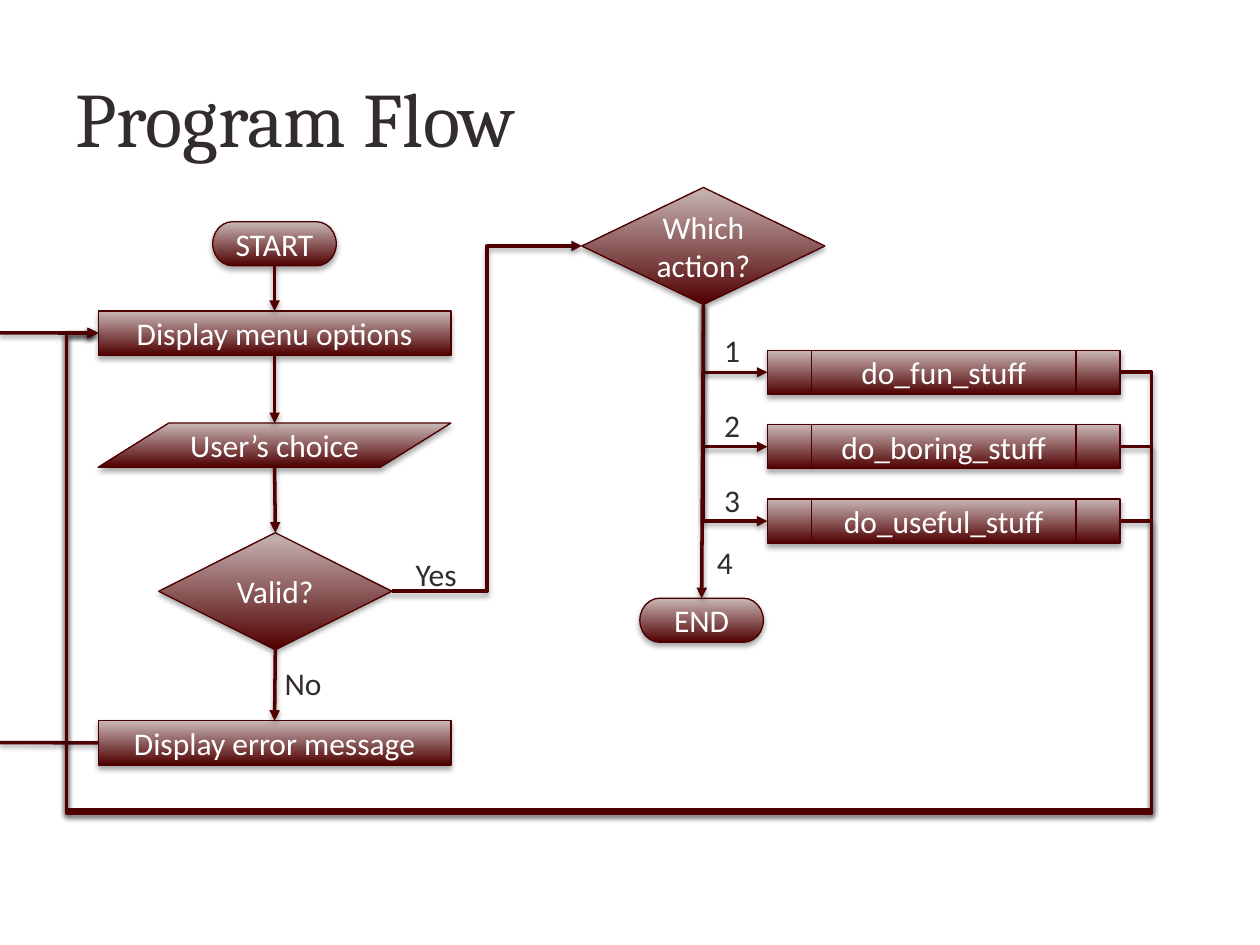
from lxml import etree
from pptx import Presentation
from pptx import util as u
from pptx.dml.color import RGBColor
from pptx.enum import shapes, text
from pptx.oxml import parse_xml
from pptx.oxml.ns import nsdecls, qn

MAROON = RGBColor(0x50, 0x00, 0x00)
ROSE = RGBColor(0xC9, 0xB6, 0xB6)
EDGE = RGBColor(0x4E, 0x00, 0x00)
INK = RGBColor(0x33, 0x2C, 0x2C)
WHITE = RGBColor(0xFF, 0xFF, 0xFF)

TOP, LEFT, BOTTOM, RIGHT = range(4)
BAR_W, BAR_H = 7.11, 0.89
KIND = shapes.MSO_SHAPE
LINK = shapes.MSO_CONNECTOR


class Flow:
    """Style of the flow chart and the slide it is drawn on."""

    title_font = {"name": "Cambria", "size": u.Pt(44)}
    body_font = {"name": "Calibri", "size": u.Pt(18)}

    def __init__(self, slide):
        self.s = slide

    def put_text(self, sp, words, font, color, align, frame):
        tf = sp.text_frame
        for key, value in frame.items():
            setattr(tf, key, value)
        p = tf.paragraphs[0]
        p.alignment = align
        r = p.add_run()
        r.text = words
        for key, value in font.items():
            setattr(r.font, key, value)
        r.font.color.rgb = color

    def shadow(self, sp, dist, alpha):
        sp._element.spPr.append(parse_xml(
            f'<a:effectLst {nsdecls("a")}><a:outerShdw blurRad="{u.Pt(3.1)}" '
            f'dist="{u.Pt(dist)}" dir="5400000" rotWithShape="0">'
            f'<a:srgbClr val="000000"><a:alpha val="{alpha}000"/></a:srgbClr>'
            '</a:outerShdw></a:effectLst>'))

    def title(self, words, *box):
        sp = self.s.shapes.title
        sp.left, sp.top, sp.width, sp.height = map(u.Cm, box)
        self.put_text(sp, words, self.title_font, INK, text.PP_ALIGN.LEFT,
                      {"vertical_anchor": text.MSO_ANCHOR.MIDDLE})

    def step(self, kind, words, x, y, w=BAR_W, h=BAR_H):
        sp = self.s.shapes.add_shape(kind, *map(u.Cm, (x, y, w, h)))
        sp.fill.gradient()
        sp.fill.gradient_angle = 90
        for stop, color in zip(sp.fill.gradient_stops, (MAROON, ROSE)):
            stop.color.rgb = color
        sp.line.color.rgb = EDGE
        sp.line.width = u.Pt(0.75)
        self.shadow(sp, 1.8, 35)
        self.put_text(sp, words, self.body_font, WHITE, text.PP_ALIGN.CENTER,
                      {"vertical_anchor": text.MSO_ANCHOR.MIDDLE, "word_wrap": True})
        return sp

    def label(self, words, x, y, w=0.84):
        sp = self.s.shapes.add_textbox(*map(u.Cm, (x, y, w, 1.02)))
        self.put_text(sp, words, self.body_font, INK, text.PP_ALIGN.LEFT,
                      {"word_wrap": False})

    def link(self, start, end, kind=LINK.STRAIGHT, arrow=True):
        """Join two ends, each a (shape, side) pair or an (x, y) point in cm."""
        points = [(0, 0) if hasattr(a, "shape_id") else (u.Cm(a), u.Cm(b))
                  for a, b in (start, end)]
        c = self.s.shapes.add_connector(kind, *points[0], *points[1])
        for join, (a, b) in ((c.begin_connect, start), (c.end_connect, end)):
            if hasattr(a, "shape_id"):
                join(a, b)
        c.line.color.rgb = MAROON
        c.line.width = u.Pt(2)
        if arrow:
            etree.SubElement(c.line._get_or_add_ln(), qn("a:tailEnd"), type="triangle")
        self.shadow(c, 1.6, 38)
        return c

    def branch(self, start, end):
        """Down from the start, then right into the end."""
        c = self.link(start, end, LINK.ELBOW)
        w, h = c.width, c.height
        mid_x, mid_y = c.left + w // 2, c.top + h // 2
        c.left, c.top, c.width, c.height = mid_x - h // 2, mid_y - w // 2, h, w
        c._element.spPr.find(qn("a:xfrm")).set("rot", "16200000")
        c._element.spPr.find(qn("a:xfrm")).set("flipH", "1")
        c._element.spPr.find(qn("a:prstGeom")).set("prst", "bentConnector2")

    def loop(self, start, end, margin, floor):
        """Out to the right, under everything, and back in from the left."""
        c = self.link(start, end, LINK.ELBOW)
        side = u.Cm(margin) / c.width
        drop = (u.Cm(floor) - c.begin_y) / c.height
        geom = c._element.spPr.find(qn("a:prstGeom"))
        geom.set("prst", "bentConnector5")
        guides = geom.find(qn("a:avLst"))
        for i, ratio in enumerate((-side, -drop, 1 + side), 1):
            etree.SubElement(guides, qn("a:gd"), name=f"adj{i}",
                             fmla=f"val {round(ratio * 100000)}")


def main():
    prs = Presentation()
    prs.slide_width, prs.slide_height = u.Cm(25.4), u.Cm(19.05)
    flow = Flow(prs.slides.add_slide(prs.slide_layouts[5]))
    flow.title("Program Flow", 1.27, 0.76, 22.86, 3.18)

    # Menu column
    left = 1.98
    start = flow.step(KIND.FLOWCHART_TERMINATOR, "START", 4.29, 4.47, 2.49)
    menu = flow.step(KIND.FLOWCHART_PROCESS, "Display menu options", left, 6.27)
    choice_y = 8.53
    flow.step(KIND.FLOWCHART_DATA, "User’s choice", left, choice_y)
    valid = flow.step(KIND.FLOWCHART_DECISION, "Valid?", 3.2, 10.74, 4.7, 2.36)
    error = flow.step(KIND.FLOWCHART_PROCESS, "Display error message", left, 14.53)
    axis = left + BAR_W / 2
    flow.link((start, BOTTOM), (menu, TOP))
    flow.link((menu, BOTTOM), (axis, choice_y))
    flow.link((axis, choice_y + BAR_H), (valid, TOP))
    flow.link((valid, BOTTOM), (error, TOP))
    flow.label("No", 5.49, 13.26, 1.27)

    # Error path, out and back at the slide edge
    flow.link((error, LEFT), (0, 14.97), arrow=False)
    flow.link((0, 6.71), (menu, LEFT))

    # Choice of action
    action = flow.step(KIND.FLOWCHART_DECISION, "Which action?", 11.73, 3.78, 4.9, 2.36)
    flow.link((valid, RIGHT), (action, LEFT), LINK.ELBOW)
    flow.label("Yes", 8.13, 11.07, 1.35)

    # Numbered actions, each returning to the menu
    for i, name in enumerate(("do_fun_stuff", "do_boring_stuff", "do_useful_stuff")):
        sub = flow.step(KIND.FLOWCHART_PREDEFINED_PROCESS, name, 15.47, 7.06 + 1.5 * i)
        flow.branch((action, BOTTOM), (sub, LEFT))
        flow.label(str(i + 1), 14.35, 6.55 + 1.51 * i)
        flow.loop((sub, RIGHT), (menu, LEFT), 0.64, 16.33 + 0.03 * i)

    # Exit
    end = flow.step(KIND.FLOWCHART_TERMINATOR, "END", 12.9, 12.06, 2.49)
    flow.link((action, BOTTOM), (end, TOP))
    flow.label("4", 14.2, 10.82)

    prs.save("out.pptx")


if __name__ == "__main__":
    main()
